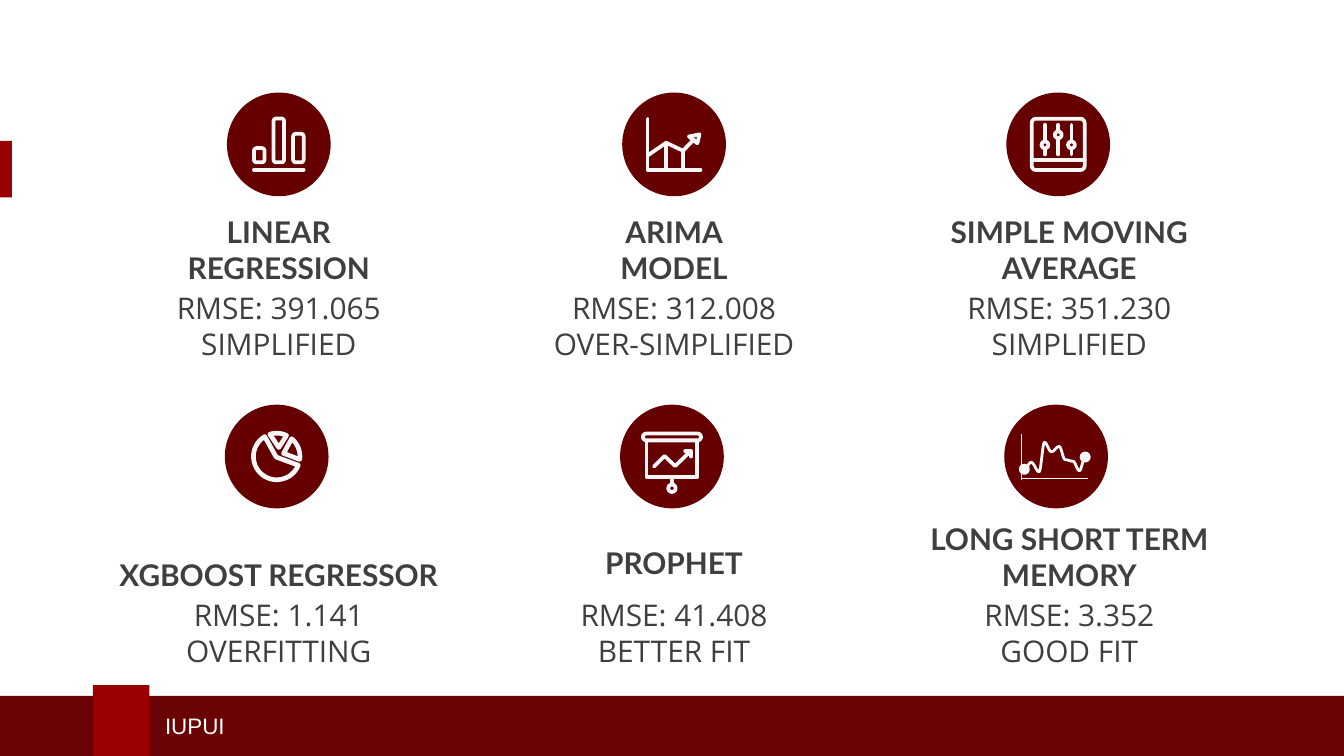
from math import cos, pi, radians, sin

from lxml import etree
from pptx import Presentation
from pptx.dml.color import RGBColor
from pptx.enum import shapes, text
from pptx.oxml.ns import qn
from pptx.util import Cm, Pt

MAROON = RGBColor(0x66, 0x00, 0x00)
FOOTER = RGBColor(0x69, 0x03, 0x04)
RED = RGBColor(0x99, 0x00, 0x00)
WHITE = RGBColor(0xFF, 0xFF, 0xFF)
CHALK = RGBColor(0xF7, 0xF7, 0xF7)
GREY = RGBColor(0x3F, 0x3F, 0x3F)

KIND = shapes.MSO_SHAPE
MID, LOW, TOP = (text.MSO_ANCHOR.MIDDLE, text.MSO_ANCHOR.BOTTOM,
                 text.MSO_ANCHOR.TOP)
LEFT, CENTER = text.PP_ALIGN.LEFT, text.PP_ALIGN.CENTER

prs = Presentation()
prs.slide_width, prs.slide_height = Cm(25.4), Cm(14.29)
slide = prs.slides.add_slide(prs.slide_layouts[6])


def block(art, kind, mid, size, fill=None, line=None):
    """Add a preset shape around its centre point."""
    (x, y), (w, h) = mid, size
    shape = art.add_shape(kind, Cm(x - w / 2), Cm(y - h / 2), Cm(w), Cm(h))
    shape.shadow.inherit = False
    if fill is None:
        shape.fill.background()
    else:
        shape.fill.solid()
        shape.fill.fore_color.rgb = fill
    if line is None:
        shape.line.fill.background()
    else:
        shape.line.color.rgb = line
        shape.line.width = Pt(2)
    return shape


def trace(art, mid, points, close=False, width=2):
    """Draw a chalk line through points given from the icon centre."""
    spots = [(Cm(mid[0] + x), Cm(mid[1] + y)) for x, y in points]
    pen = art.build_freeform(*spots[0], scale=1.0)
    pen.add_line_segments(spots[1:], close=close)
    shape = pen.convert_to_shape()
    shape.shadow.inherit = False
    shape.fill.background()
    shape.line.color.rgb = CHALK
    shape.line.width = Pt(width)
    edge = shape._element.spPr.find(qn("a:ln"))
    edge.set("cap", "rnd")
    etree.SubElement(edge, qn("a:round"))
    return edge


# Side mark and footer
block(slide.shapes, KIND.RECTANGLE, (0.11, 3.2), (0.23, 1.07), RED)
block(slide.shapes, KIND.RECTANGLE, (12.74, 13.79), (25.63, 1.27), FOOTER)
block(slide.shapes, KIND.RECTANGLE, (2.29, 13.69), (1.07, 1.48), RED)

# Texts: left, top, width, height, lines, format
label = dict(name="Arial", size=Pt(12), color=WHITE, bold=False,
             align=LEFT, anchor=MID, pad=0.13)
head = dict(name="Lato", size=Pt(16), color=GREY, bold=True,
            align=CENTER, anchor=LOW, pad=0.25)
body = dict(head, name="Open Sans", bold=False, anchor=TOP)

cards = [
    (["LINEAR", "REGRESSION"], "391.065", "SIMPLIFIED"),
    (["ARIMA", "MODEL"], "312.008", "OVER-SIMPLIFIED"),
    (["SIMPLE MOVING", "AVERAGE"], "351.230", "SIMPLIFIED"),
    (["XGBOOST REGRESSOR"], "1.141", "OVERFITTING"),
    (["PROPHET"], "41.408", "BETTER FIT"),
    (["LONG SHORT TERM MEMORY"], "3.352", "GOOD FIT"),
]
boxes = [(2.87, 13.34, 10.03, 0.76, ["IUPUI"], label)]
for i, (name, score, note) in enumerate(cards):
    row, col = divmod(i, 3)
    x, y = 5.27 + 7.47 * col, 5.8 * row
    top, wide, high = 4.05 + y, 6.58, 1.6
    if name == ["PROPHET"]:
        top, high = 10.21, 1.02
    elif name == ["ARIMA", "MODEL"]:
        wide = 8.36
    boxes.append((x - wide / 2, top, wide, high, name, head))
    boxes.append((x - 3.45, 5.23 + y, 6.9, 1.75,
                  [f"RMSE: {score}", note], body))

for *place, lines, look in boxes:
    frame = slide.shapes.add_textbox(*map(Cm, place)).text_frame
    frame.word_wrap = True
    frame.vertical_anchor = look["anchor"]
    frame.margin_left = frame.margin_right = Cm(0.25)
    frame.margin_top = frame.margin_bottom = Cm(look["pad"])
    for n, line in enumerate(lines):
        para = frame.add_paragraph() if n else frame.paragraphs[0]
        para.alignment = look["align"]
        run = para.add_run()
        run.text = line
        for key in ("name", "size", "bold"):
            setattr(run.font, key, look[key])
        run.font.color.rgb = look["color"]

# Icon discs, one group for each icon
icons = []
for y, shift in ((2.73, 0), (8.63, -0.04)):
    for x in (5.27, 12.74, 20):
        art = slide.shapes.add_group_shape().shapes
        mid = (x + shift, y)
        block(art, KIND.OVAL, mid, (1.96, 1.96), MAROON)
        icons.append((art, mid))
bars, trend, dials, pie, board, wave = icons

# Bar chart
art, (x, y) = bars
for dx, high in ((-0.37, 0.27), (0, 0.83), (0.37, 0.54)):
    bar = block(art, KIND.ROUNDED_RECTANGLE, (x + dx, y + 0.34 - high / 2),
                (0.2, high), line=CHALK)
    bar.adjustments[0] = 0.25
trace(*bars, [(-0.47, 0.48), (0.47, 0.48)])

# Rising trend
peak, dip = (-0.15, -0.03), (0.17, 0.12)
trace(*trend, [(-0.5, -0.48), (-0.5, 0.48), (0.5, 0.48)])
trace(*trend, [(-0.5, 0.21), peak, dip, (0.38, -0.1)])
for dx, dy in (peak, dip):
    trace(*trend, [(dx, dy), (dx, 0.48)])
trace(*trend, [(0.48, -0.19), (0.44, -0.02), (0.28, -0.15)], close=True)

# Slider panel
art, (x, y) = dials
panel = block(art, KIND.ROUNDED_RECTANGLE, (x, y), (1, 0.97), line=CHALK)
panel.adjustments[0] = 0.08
trace(*dials, [(-0.5, 0.3), (0.5, 0.3)])
for dx, knob in ((-0.25, 0.01), (0, -0.18), (0.25, 0.01)):
    trace(*dials, [(dx, -0.37), (dx, 0.19)])
    block(art, KIND.OVAL, (x + dx, y + knob), (0.13, 0.13), MAROON, CHALK)

# Pie: tip of each slice, then its arc in degrees
for tip, start, end in (((-0.01, 0.01), 22, 239),
                        ((0.13, -0.06), -50, 7),
                        ((0.04, -0.17), -107, -65)):
    turns = [radians(start + (end - start) * n / 24) for n in range(25)]
    rim = [(0.44 * cos(t), 0.44 * sin(t)) for t in turns]
    trace(*pie, [tip] + rim, close=True, width=2.5)

# Presentation board
art, (x, y) = board
rail = block(art, KIND.ROUNDED_RECTANGLE, (x, y - 0.37), (1.1, 0.13),
             line=CHALK)
rail.adjustments[0] = 0.5
trace(*board, [(-0.48, -0.3), (-0.48, 0.39), (0.48, 0.39), (0.48, -0.3)])
trace(*board, [(0, 0.39), (0, 0.53)])
block(art, KIND.OVAL, (x, y + 0.6), (0.14, 0.14), MAROON, CHALK)
trace(*board, [(-0.34, 0.19), (-0.14, -0.01), (0.06, 0.18), (0.33, -0.08)])
trace(*board, [(0.25, -0.1), (0.36, -0.1), (0.36, 0)])

# Wave, eased between its turning points
knots = [(-0.6, 0.24), (-0.47, 0.11), (-0.32, 0.29), (-0.22, -0.27),
         (-0.09, -0.09), (0.06, -0.19), (0.17, 0.06), (0.32, 0.09),
         (0.44, 0.27), (0.55, 0.01)]
curve = [knots[0]]
for (ax, ay), (bx, by) in zip(knots, knots[1:]):
    for n in range(1, 9):
        ease = (1 - cos(pi * n / 8)) / 2
        curve.append((ax + (bx - ax) * n / 8, ay + (by - ay) * ease))
edge = trace(*wave, curve, width=1.5)
for end in ("headEnd", "tailEnd"):
    etree.SubElement(edge, qn(f"a:{end}"), type="oval")

art, (x, y) = wave
for ax, ay, bx, by in ((-0.65, -0.42, -0.65, 0.44), (-0.65, 0.42, 0.6, 0.42)):
    axis = art.add_connector(shapes.MSO_CONNECTOR.STRAIGHT, Cm(x + ax),
                             Cm(y + ay), Cm(x + bx), Cm(y + by))
    axis.line.color.rgb = CHALK
    axis.line.width = Pt(0.75)
    etree.SubElement(axis._element.spPr, qn("a:effectLst"))

prs.save("out.pptx")
